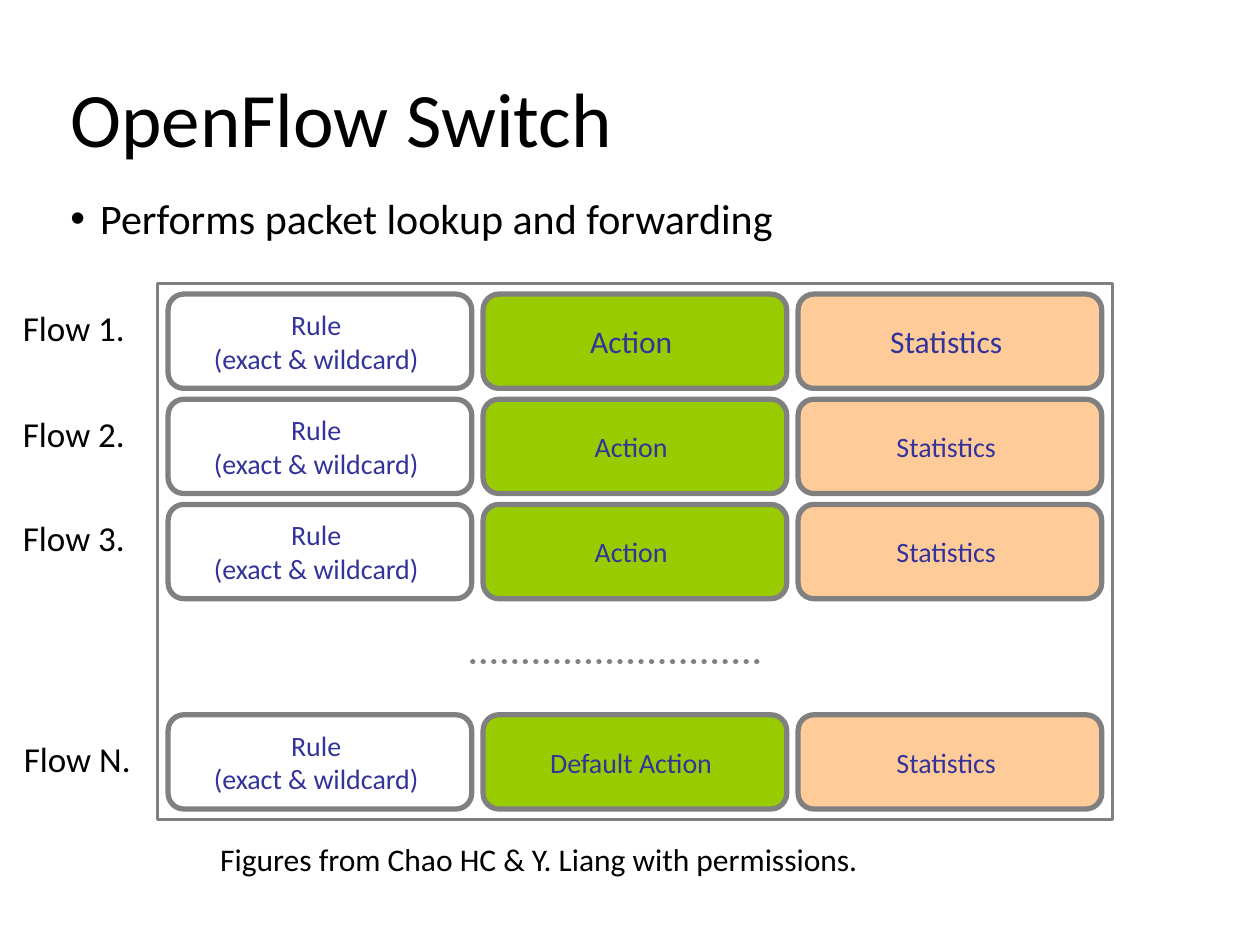
import pptx
import pptx.dml.color
import pptx.enum.dml
import pptx.enum.shapes
import pptx.enum.text
import pptx.oxml
import pptx.util

Cm = pptx.util.Cm
Pt = pptx.util.Pt
RGB = pptx.dml.color.RGBColor
Shape = pptx.enum.shapes.MSO_SHAPE
Anchor = pptx.enum.text.MSO_ANCHOR
Align = pptx.enum.text.PP_ALIGN

BLACK = RGB(0x00, 0x00, 0x00)
WHITE = RGB(0xFF, 0xFF, 0xFF)
GRAY = RGB(0x80, 0x80, 0x80)
NAVY = RGB(0x33, 0x33, 0x99)
GREEN = RGB(0x99, 0xCC, 0x00)
PEACH = RGB(0xFF, 0xCC, 0x99)

LEFT, TOP = 3.39, 5.93
STEP_X, STEP_Y = 6.35, 2.12
WIDE, HIGH = 6.12, 1.9

RULE = "Rule\n(exact & wildcard)"
# grid row, label, label left, label top, action, size of the one-line cells
FLOWS = [
    (0, "Flow 1.", 0.46, 6.17, "Action", 18),
    (1, "Flow 2.", 0.46, 8.31, "Action", 16),
    (2, "Flow 3.", 0.46, 10.41, "Action", 16),
    (4, "Flow N.", 0.48, 14.86, "Default Action", 16),
]


class Deck:
    font = "Calibri"

    def __init__(self, wide, high):
        self.prs = pptx.Presentation()
        self.prs.slide_width, self.prs.slide_height = Cm(wide), Cm(high)
        self.slide = self.prs.slides.add_slide(self.prs.slide_layouts[1])

    def style(self, shape, text, size, color, pads, align=Align.LEFT,
              anchor=Anchor.TOP, wrap=True):
        """Fill a shape with text; pads are left, top, right, bottom in cm."""
        frame = shape.text_frame
        frame.text = text
        frame.word_wrap = wrap
        frame.vertical_anchor = anchor
        (frame.margin_left, frame.margin_top,
         frame.margin_right, frame.margin_bottom) = map(Cm, pads)
        for para in frame.paragraphs:
            para.alignment = align
            para.space_before = Pt(0)
            for run in para.runs:
                run.font.name = self.font
                run.font.size = Pt(size)
                run.font.color.rgb = color

    def place(self, shape, box):
        shape.left, shape.top, shape.width, shape.height = map(Cm, box)

    def title(self, text, box):
        shape = self.slide.shapes.title
        self.place(shape, box)
        self.style(shape, text, 44, BLACK, (0.15, 0.15, 0.36, 0.15),
                   anchor=Anchor.MIDDLE)

    def body(self, text, box):
        shape = self.slide.placeholders[1]
        self.place(shape, box)
        self.style(shape, text, 24, BLACK, (0.15, 0.15, 0.36, 0.15))
        for para in shape.text_frame.paragraphs:
            props = para._p.get_or_add_pPr()
            props.set("marL", str(Cm(0.6)))
            props.set("indent", str(-Cm(0.6)))

    def label(self, text, size, box, pads, wrap):
        shape = self.slide.shapes.add_textbox(*map(Cm, box))
        self.style(shape, text, size, BLACK, pads, wrap=wrap)

    def block(self, kind, box, width, fill=None):
        shape = self.slide.shapes.add_shape(kind, *map(Cm, box))
        shape.shadow.inherit = False
        shape.line.color.rgb = GRAY
        shape.line.width = Pt(width)
        if fill is None:
            shape.fill.background()
        else:
            shape.fill.solid()
            shape.fill.fore_color.rgb = fill
        return shape

    def cell(self, col, row, text, size, fill):
        box = LEFT + col * STEP_X, TOP + row * STEP_Y, WIDE, HIGH
        shape = self.block(Shape.ROUNDED_RECTANGLE, box, 3, fill)
        self.style(shape, text, size, NAVY, (0.1, 0.1, 0.25, 0.1),
                   Align.CENTER, Anchor.MIDDLE, wrap=False)

    def dots(self, x1, x2, y):
        line = self.slide.shapes.add_connector(
            pptx.enum.shapes.MSO_CONNECTOR.STRAIGHT,
            Cm(x1), Cm(y), Cm(x2), Cm(y))
        line.line.color.rgb = GRAY
        line.line.width = Pt(3)
        line.line.dash_style = pptx.enum.dml.MSO_LINE.ROUND_DOT
        line.line._ln.set("cap", "rnd")
        line._element.spPr.append(pptx.oxml.parse_xml(
            '<a:effectLst xmlns:a='
            '"http://schemas.openxmlformats.org/drawingml/2006/main"/>'))


def main():
    deck = Deck(25.4, 19.05)
    deck.title("OpenFlow Switch", (1.27, 0.76, 21.64, 3.18))
    deck.body("Performs packet lookup and forwarding",
              (1.27, 3.73, 22.86, 13.28))
    deck.block(Shape.RECTANGLE, (3.18, 5.72, 19.25, 10.8), 2)
    for row, name, left, top, action, size in FLOWS:
        deck.label(name, 20, (left, top, 2.72, 0.84), (0, 0, 0.1, 0), False)
        deck.cell(0, row, RULE, 16, WHITE)
        deck.cell(1, row, action, size, GREEN)
        deck.cell(2, row, "Statistics", size, PEACH)
    deck.dots(9.53, 15.45, 13.34)
    deck.label("Figures from Chao HC & Y. Liang with permissions.", 18,
               (4.19, 16.81, 15.6, 1.78), (0.25, 0.13, 0.25, 0.13), True)
    deck.prs.save("out.pptx")


if __name__ == "__main__":
    main()
